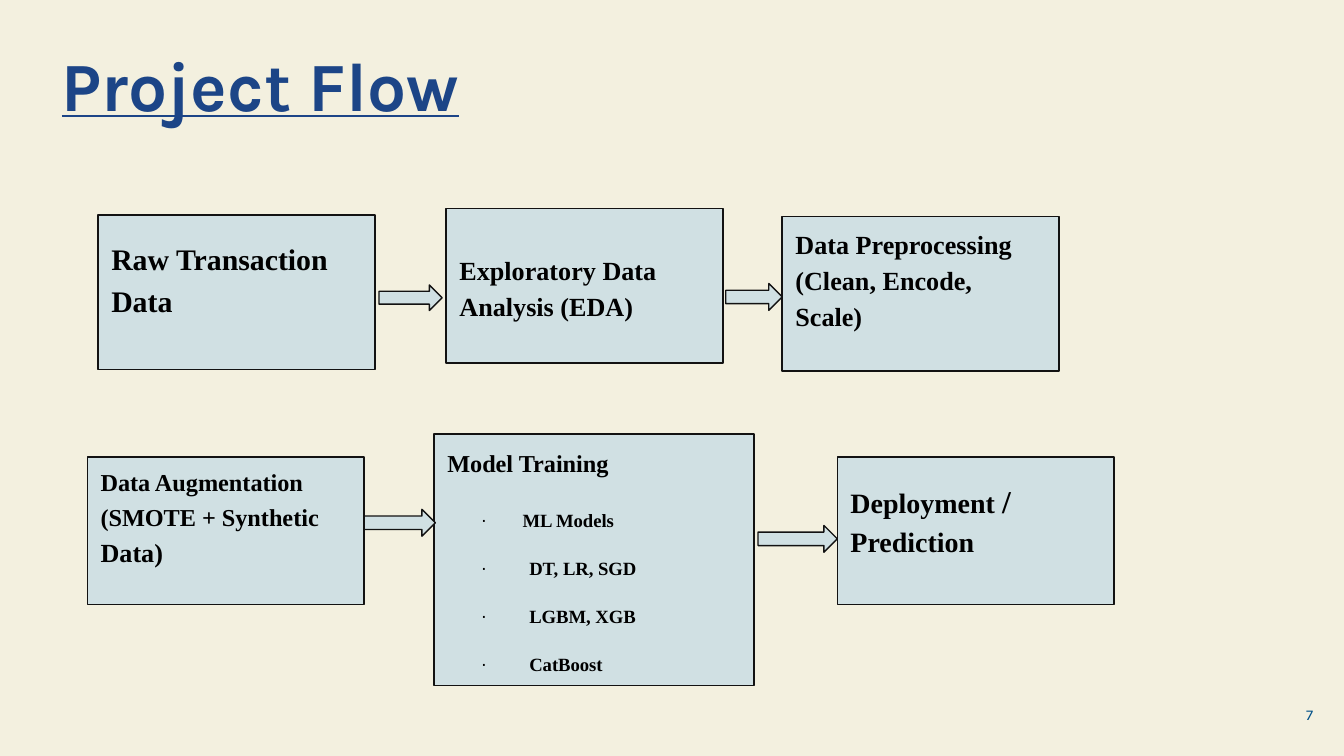
"""Build the project flow slide: two rows of steps joined by block arrows."""
from lxml.etree import SubElement
from pptx import Presentation
from pptx.dml.color import RGBColor
from pptx.enum.shapes import MSO_SHAPE
from pptx.enum.text import MSO_ANCHOR, MSO_AUTO_SIZE, PP_ALIGN
from pptx.oxml.ns import qn
from pptx.util import Inches, Pt

SLIDE_WIDTH = 10
SLIDE_HEIGHT = SLIDE_WIDTH * 9 / 16
COLORS = {
    "background": "F3F0DF", "title": "1C4587", "number": "005088",
    "fill": "D0E0E3", "line": "121212", "text": "000000",
}
BODY_FONT, HEADING_FONT = "Times New Roman", "Karla"
STEP_WIDTH = 2.06
STEPS = [
    {"box": (0.73, 1.6, STEP_WIDTH, 1.15), "bottom": 0.33,
     "runs": [("Raw Transaction Data", 16)]},
    {"box": (3.23, 3.23, 2.38, 1.87), "bottom": 0.1,
     "runs": [("Model Training", 13)],
     "bullets": [("ML Models", 0.56, 15), ("DT, LR, SGD", 0.61, 12),
                 ("LGBM, XGB", 0.61, 12), ("CatBoost", 0.61, 12)]},
    {"box": (0.65, 3.4, STEP_WIDTH, 1.1), "bottom": 0.33,
     "runs": [("Data Augmentation (SMOTE + Synthetic", 13), (" Data)", 14)]},
    {"box": (3.32, 1.55, STEP_WIDTH, 1.15), "bottom": 0.1,
     "runs": [("Exploratory Data Analysis (EDA)", 14)]},
    {"box": (5.82, 1.61, STEP_WIDTH, 1.15), "bottom": 0.33, "right": 0.15,
     "runs": [("Data Preprocessing (Clean, Encode, Scale)", 14)]},
    {"box": (6.23, 3.4, STEP_WIDTH, 1.1), "bottom": 0.3,
     "runs": [("Deployment ", 15), ("/ ", 17), ("Prediction", 15)]},
]
ARROWS = [
    (2.82, 2.12, 0.47, 0.19), (5.4, 2.11, 0.42, 0.2),
    (2.71, 3.79, 0.53, 0.2), (5.64, 3.91, 0.59, 0.2),
]


def color(name):
    return RGBColor.from_string(COLORS[name])


def lengths(box):
    return [Inches(value) for value in box]


def set_font(font, name, color_name, size=None, bold=False):
    font.name, font.bold = name, bold
    font.color.rgb = color(color_name)
    if size:
        font.size = Pt(size)


def set_frame(frame, bottom=0.1, right=0.1):
    frame.word_wrap = True
    frame.auto_size = MSO_AUTO_SIZE.NONE
    frame.vertical_anchor = MSO_ANCHOR.MIDDLE
    frame.margin_left = frame.margin_top = Inches(0.1)
    frame.margin_right = Inches(right)
    frame.margin_bottom = Inches(bottom)


def add_block(slide, kind, box):
    shape = slide.shapes.add_shape(kind, *lengths(box))
    shape.shadow.inherit = False
    shape.fill.solid()
    shape.fill.fore_color.rgb = color("fill")
    shape.line.color.rgb = color("line")
    shape.line.width = Pt(0.75)
    return shape


def add_bullet(frame, text, margin, space):
    paragraph = frame.add_paragraph()
    paragraph.text = text
    paragraph.line_spacing = 1.15
    paragraph.space_before = Pt(space)
    paragraph.alignment = PP_ALIGN.LEFT
    set_font(paragraph.font, BODY_FONT, "text", 10, True)
    properties = paragraph._p.get_or_add_pPr()
    properties.set("marL", str(Inches(margin)))
    properties.set("indent", str(Inches(0.25 - margin)))
    bullet_font = SubElement(properties, qn("a:buFont"))
    bullet_font.set("typeface", "Arial")
    bullet = SubElement(properties, qn("a:buChar"))
    bullet.set("char", "·")
    properties.append(properties.find(qn("a:defRPr")))


def add_step(slide, step):
    frame = add_block(slide, MSO_SHAPE.RECTANGLE, step["box"]).text_frame
    set_frame(frame, step["bottom"], step.get("right", 0.1))
    paragraph = frame.paragraphs[0]
    paragraph.alignment = PP_ALIGN.LEFT
    paragraph.line_spacing = 1.15
    set_font(paragraph.font, BODY_FONT, "text", bold=True)
    for text, size in step["runs"]:
        run = paragraph.add_run()
        run.text = text
        set_font(run.font, BODY_FONT, "text", size, True)
    for text, margin, space in step.get("bullets", []):
        add_bullet(frame, text, margin, space)


def add_title(slide):
    title = slide.shapes.title
    title.left, title.top, title.width, title.height = lengths((0.36, 0.21, 5.32, 0.74))
    set_frame(title.text_frame)
    paragraph = title.text_frame.paragraphs[0]
    paragraph.text = "Project Flow"
    paragraph.alignment = PP_ALIGN.LEFT
    paragraph.line_spacing = 1.15
    paragraph.space_after = Pt(12)
    set_font(paragraph.font, HEADING_FONT, "title", 37, True)
    paragraph.font.underline = True


def add_number(slide):
    frame = slide.shapes.add_textbox(*lengths((9.27, 5.1, 0.6, 0.43))).text_frame
    set_frame(frame)
    paragraph = frame.paragraphs[0]
    paragraph.text = "7"
    paragraph.alignment = PP_ALIGN.RIGHT
    set_font(paragraph.font, HEADING_FONT, "number", 8)


def main():
    presentation = Presentation()
    presentation.slide_width, presentation.slide_height = lengths((SLIDE_WIDTH, SLIDE_HEIGHT))
    slide = presentation.slides.add_slide(presentation.slide_layouts[5])
    slide.background.fill.solid()
    slide.background.fill.fore_color.rgb = color("background")
    add_number(slide)
    add_title(slide)
    for step in STEPS:
        add_step(slide, step)
    for box in ARROWS:
        add_block(slide, MSO_SHAPE.RIGHT_ARROW, box)
    presentation.save("out.pptx")


if __name__ == "__main__":
    main()
